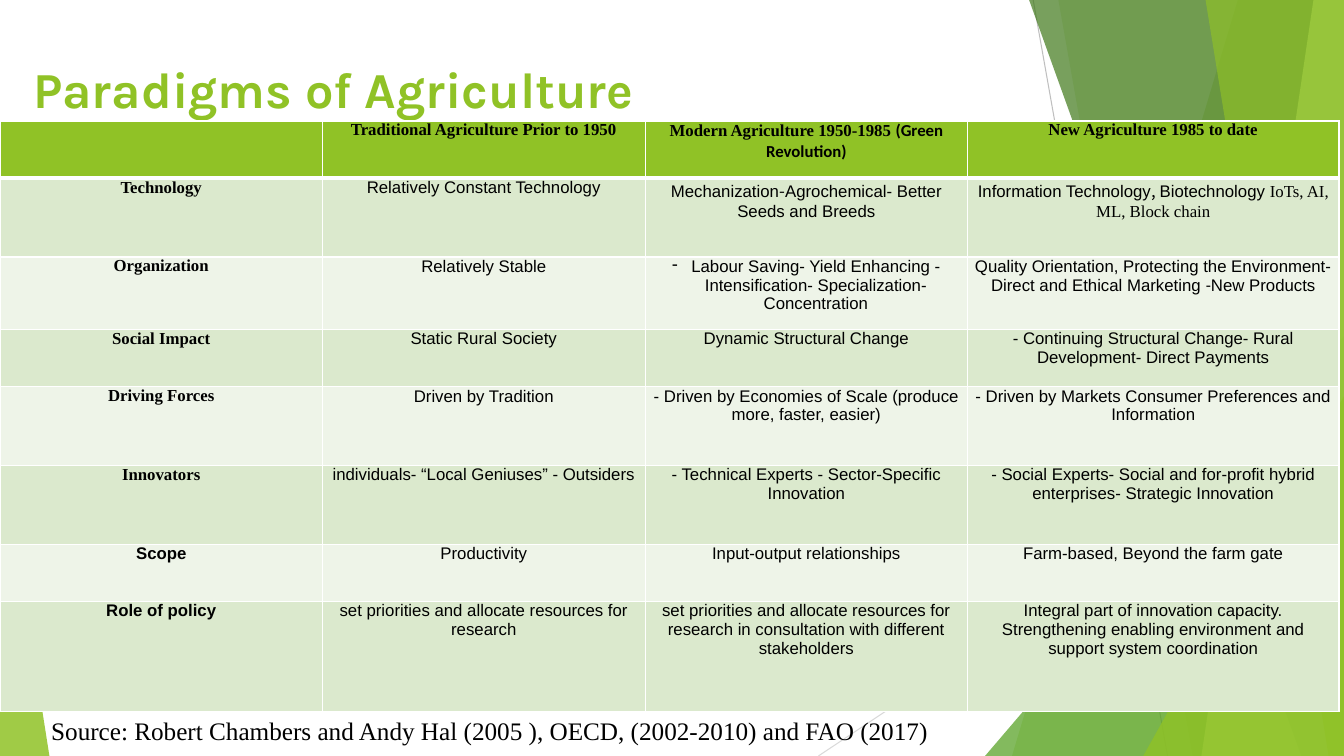
from dataclasses import dataclass

from lxml.etree import SubElement
from pptx import Presentation
from pptx.dml.color import RGBColor
from pptx.enum.shapes import MSO_CONNECTOR, MSO_SHAPE
from pptx.enum.text import MSO_ANCHOR, PP_ALIGN
from pptx.oxml.ns import qn
from pptx.util import Pt

PAGE_WIDTH, PAGE_HEIGHT = 960, 540
GREEN = "90C226"
BLACK = "000000"
WHITE = "FFFFFF"
SERIF = "Times New Roman"
COLUMN_WIDTHS = (230.4, 230.4, 230.4, 265.2)
ROW_HEIGHTS = (41, 56.2, 51.8, 41, 56.2, 56.2, 41, 78.5)


@dataclass(frozen=True)
class Ray:
    start: tuple[float, float]
    end: tuple[float, float]
    color: str


@dataclass(frozen=True)
class Band:
    top_left: float
    bottom_left: float
    color: str
    opacity: int


@dataclass(frozen=True)
class Wedge:
    left: float
    top: float
    width: float
    apex: float
    color: str
    opacity: int


@dataclass(frozen=True)
class Span:
    text: str
    font: str = "Arial"
    bold: bool = False


@dataclass(frozen=True)
class Entry:
    spans: tuple[Span, ...]
    bullet: str = ""


@dataclass(frozen=True)
class Caption:
    text: str
    left: float
    top: float
    height: float
    inset: float
    font: str
    size: float
    color: str
    bold: bool


RAYS = (
    Ray((738, 0), (834, 540), "BFBFBF"),
    Ray((960, 290), (584.6, 540), "D9D9D9"),
)
FACETS = (
    Band(884.2, 722.9, GREEN, 30),
    Band(756, 851.8, GREEN, 20),
    Wedge(703.6, 240, 256.4, 1, "54A021", 72),
    Band(735.1, 929.5, "3F7819", 70),
    Band(938.2, 858.2, "C0E474", 70),
    Band(861.1, 949, GREEN, 65),
    Wedge(816.6, 283, 143.4, 1, GREEN, 80),
    Wedge(0, 316, 35.3, 0, GREEN, 85),
)
CAPTIONS = (
    Caption("Paradigms of Agriculture", 16.6, 34.6, 103.7, 7, "Karla", 36, GREEN, True),
    Caption("Source: Robert Chambers and Andy Hal (2005 ), OECD, (2002-2010) and FAO (2017)",
            29.5, 507.6, 29, 3.6, SERIF, 18, BLACK, False),
)


def label(text: str, font: str = SERIF) -> Entry:
    return Entry((Span(text, font, True),))


def plain(text: str, bullet: str = "") -> Entry:
    return Entry((Span(text),), bullet)


PARADIGMS = (
    (label(""), label("Traditional Agriculture Prior to 1950"),
     Entry((Span("Modern Agriculture 1950-1985 ", SERIF, True),
            Span("(Green Revolution)", "Calibri", True))),
     label("New Agriculture 1985 to date")),
    (label("Technology"), plain("Relatively Constant Technology"),
     Entry((Span("Mechanization"), Span("-", "Noto Sans CJK JP"),
            Span("Agrochemical- Better Seeds and Breeds"))),
     Entry((Span("Information Technology"), Span(", ", "Noto Sans CJK JP"),
            Span("Biotechnology "), Span("IoTs, AI, ML, Block chain", SERIF)))),
    (label("Organization"), plain("Relatively Stable"),
     plain("Labour Saving- Yield Enhancing - Intensification- Specialization- Concentration", "-"),
     Entry((Span("Quality Orientation, Protecting the Environment- Direct and Ethical Marketing "),
            Span("-", "Calibri"), Span("New Products")))),
    (label("Social Impact"), plain("Static Rural Society"), plain("Dynamic Structural Change"),
     plain("- Continuing Structural Change- Rural Development- Direct Payments")),
    (label("Driving Forces"), plain("Driven by Tradition"),
     plain("- Driven by Economies of Scale (produce more, faster, easier)"),
     plain("- Driven by Markets Consumer Preferences and Information")),
    (label("Innovators"), plain("individuals- “Local Geniuses” - Outsiders"),
     plain("- Technical Experts - Sector-Specific Innovation"),
     plain("- Social Experts- Social and for-profit hybrid enterprises- Strategic Innovation")),
    (label("Scope", "Arial"), plain("Productivity"), plain("Input-output relationships"),
     plain("Farm-based, Beyond the farm gate")),
    (label("Role of policy", "Arial"),
     plain("set priorities and allocate resources for research"),
     plain("set priorities and allocate resources for research in consultation "
           "with different stakeholders"),
     plain("Integral part of innovation capacity. Strengthening enabling environment "
           "and support system coordination")),
)


def paint(target, color: str, opacity: int = 100) -> None:
    target.solid()
    target.fore_color.rgb = RGBColor.from_string(color)
    if opacity < 100:
        tint = target._xPr.find(qn("a:solidFill"))[0]
        SubElement(tint, qn("a:alpha")).set("val", str(opacity * 1000))


def format_run(run, font: str, size: float, color: str, bold: bool) -> None:
    run.font.name = font
    run.font.size = Pt(size)
    run.font.bold = bold
    paint(run.font.fill, color)


def draw_ray(page, ray: Ray) -> None:
    line = page.shapes.add_connector(MSO_CONNECTOR.STRAIGHT, *map(Pt, ray.start + ray.end))
    paint(line.line.fill, ray.color)
    line.line.width = Pt(0.75)
    SubElement(line._element.spPr, qn("a:effectLst"))


def draw_facet(page, facet: Band | Wedge) -> None:
    if isinstance(facet, Band):
        builder = page.shapes.build_freeform(Pt(facet.top_left), 0)
        corners = ((PAGE_WIDTH, 0), (PAGE_WIDTH, PAGE_HEIGHT), (facet.bottom_left, PAGE_HEIGHT))
        builder.add_line_segments([(Pt(x), Pt(y)) for x, y in corners], close=True)
        shape = builder.convert_to_shape()
    else:
        shape = page.shapes.add_shape(
            MSO_SHAPE.ISOSCELES_TRIANGLE, Pt(facet.left), Pt(facet.top),
            Pt(facet.width), Pt(PAGE_HEIGHT - facet.top))
        shape.adjustments[0] = facet.apex
    shape.shadow.inherit = False
    shape.line.fill.background()
    paint(shape.fill, facet.color, facet.opacity)


def draw_caption(page, caption: Caption) -> None:
    box = page.shapes.add_textbox(
        Pt(caption.left), Pt(caption.top), Pt(676.8), Pt(caption.height))
    frame = box.text_frame
    frame.word_wrap = True
    frame.vertical_anchor = MSO_ANCHOR.TOP
    frame.margin_top = Pt(caption.inset)
    frame.text = caption.text
    format_run(frame.paragraphs[0].runs[0], caption.font, caption.size,
               caption.color, caption.bold)


def add_borders(cell, top: float, bottom: float) -> None:
    properties = cell._tc.get_or_add_tcPr()
    for side, width in (("L", 1), ("R", 1), ("T", top), ("B", bottom)):
        border = SubElement(properties, qn(f"a:ln{side}"), w=str(Pt(width)))
        fill = SubElement(border, qn("a:solidFill"))
        SubElement(fill, qn("a:srgbClr"), val=WHITE)


def fill_cell(cell, entry: Entry) -> None:
    cell.margin_left = cell.margin_right = Pt(5.04)
    cell.margin_top = cell.margin_bottom = 0
    para = cell.text_frame.paragraphs[0]
    para.alignment = PP_ALIGN.CENTER
    if entry.bullet:
        properties = para._p.get_or_add_pPr()
        properties.set("marL", str(Pt(13.7)))
        properties.set("indent", str(-Pt(13.7)))
        SubElement(properties, qn("a:buChar"), char=entry.bullet)
    for span in entry.spans:
        if span.text:
            run = para.add_run()
            run.text = span.text
            format_run(run, span.font, 12, BLACK, span.bold)


def draw_table(page) -> None:
    table = page.shapes.add_table(
        len(ROW_HEIGHTS), len(COLUMN_WIDTHS), 0, Pt(86.4),
        Pt(sum(COLUMN_WIDTHS)), Pt(sum(ROW_HEIGHTS))).table
    table.horz_banding = False
    for column, width in zip(table.columns, COLUMN_WIDTHS):
        column.width = Pt(width)
    for index, (row, height, entries) in enumerate(zip(table.rows, ROW_HEIGHTS, PARADIGMS)):
        row.height = Pt(height)
        color = GREEN if index == 0 else ("EEF4E8", "DBE9CD")[index % 2]
        for cell, entry in zip(row.cells, entries):
            add_borders(cell, 3 if index == 1 else 1, 3 if index == 0 else 1)
            paint(cell.fill, color)
            fill_cell(cell, entry)


def main() -> None:
    deck = Presentation()
    deck.slide_width, deck.slide_height = Pt(PAGE_WIDTH), Pt(PAGE_HEIGHT)
    page = deck.slides.add_slide(deck.slide_layouts[6])
    for ray in RAYS:
        draw_ray(page, ray)
    for facet in FACETS:
        draw_facet(page, facet)
    title, source = CAPTIONS
    draw_caption(page, title)
    draw_table(page)
    draw_caption(page, source)
    deck.save("out.pptx")


if __name__ == "__main__":
    main()
